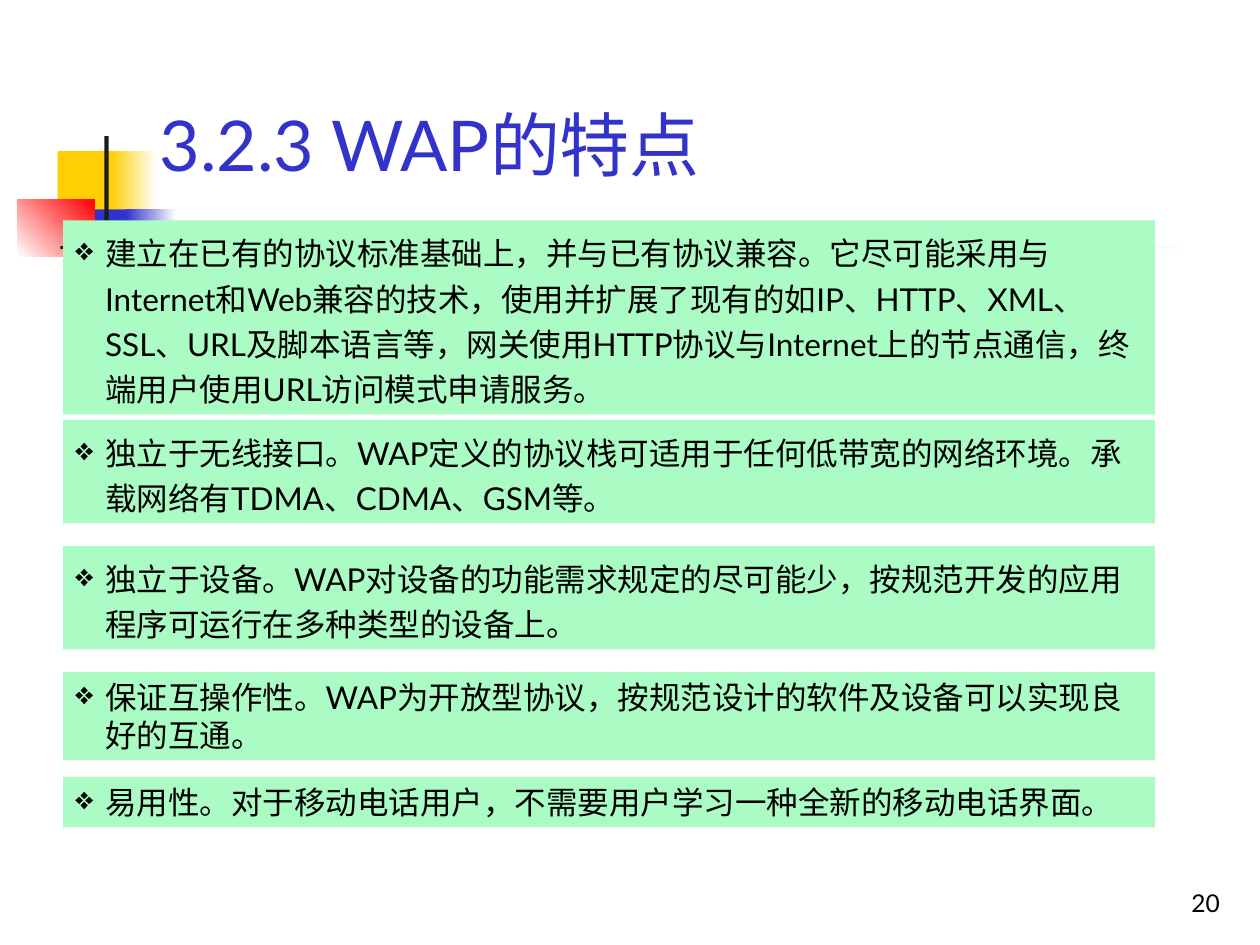
import dataclasses

import lxml.etree
import pptx
import pptx.dml.color
import pptx.enum.shapes
import pptx.enum.text
import pptx.oxml.ns
import pptx.util

Pt = pptx.util.Pt
Color = pptx.dml.color.RGBColor.from_string
Anchor = pptx.enum.text.MSO_ANCHOR
Align = pptx.enum.text.PP_ALIGN


@dataclasses.dataclass(frozen=True)
class Theme:
    font: str = "Lato"
    black: str = "000000"
    white: str = "FFFFFF"
    blue: str = "3333CC"
    yellow: str = "FFCF01"
    red: str = "FF0000"
    charcoal: str = "1C1C1C"
    mint: str = "ABFBC4"
    title_size: float = 40
    body_size: float = 18
    number_size: float = 14
    line_height: float = 21.6
    inset_x: float = 7.2
    inset_y: float = 3.6
    bullet_indent: float = 17


THEME = Theme()

POINTS = [
    (126, 4, 1.2, "建立在已有的协议标准基础上，并与已有协议兼容。它尽可能采用与Internet和Web兼容的技术，"
                  "使用并扩展了现有的如IP、HTTP、XML、SSL、URL及脚本语言等，"
                  "网关使用HTTP协议与Internet上的节点通信，终端用户使用URL访问模式申请服务。"),
    (240, 2, 1.2, "独立于无线接口。WAP定义的协议栈可适用于任何低带宽的网络环境。承载网络有TDMA、CDMA、GSM等。"),
    (312, 2, 1.2, "独立于设备。WAP对设备的功能需求规定的尽可能少，按规范开发的应用程序可运行在多种类型的设备上。"),
    (384, 2, 1.0, "保证互操作性。WAP为开放型协议，按规范设计的软件及设备可以实现良好的互通。"),
    (444, 1, 1.0, "易用性。对于移动电话用户，不需要用户学习一种全新的移动电话界面。"),
]


def add_bullet(paragraph, character, color):
    properties = paragraph._p.get_or_add_pPr()
    properties.set("marL", str(Pt(THEME.bullet_indent)))
    properties.set("indent", str(-Pt(THEME.bullet_indent)))
    qualified = pptx.oxml.ns.qn
    bullet_color = lxml.etree.SubElement(properties, qualified("a:buClr"))
    lxml.etree.SubElement(bullet_color, qualified("a:srgbClr"), val=color)
    lxml.etree.SubElement(properties, qualified("a:buChar"), char=character)


def write_text(shape, text, *, size, color=THEME.black, align=Align.LEFT,
               anchor=Anchor.TOP, spacing=1.0, bullet=None, extra_left=0):
    frame = shape.text_frame
    frame.word_wrap = True
    frame.vertical_anchor = anchor
    frame.margin_left = Pt(THEME.inset_x + extra_left)
    frame.margin_right = Pt(THEME.inset_x)
    frame.margin_top = frame.margin_bottom = Pt(THEME.inset_y)
    paragraph = frame.paragraphs[0]
    if bullet:
        add_bullet(paragraph, bullet, THEME.black)
    paragraph.alignment = align
    paragraph.line_spacing = spacing
    run = paragraph.add_run()
    run.text = text
    run.font.name = THEME.font
    run.font.size = Pt(size)
    run.font.color.rgb = Color(color)


def add_rectangle(slide, box, color, end_color=None, angle=0):
    shape = slide.shapes.add_shape(
        pptx.enum.shapes.MSO_SHAPE.RECTANGLE, *map(Pt, box))
    shape.shadow.inherit = False
    shape.line.fill.background()
    if end_color is None:
        shape.fill.solid()
        shape.fill.fore_color.rgb = Color(color)
    else:
        shape.fill.gradient()
        shape.fill.gradient_angle = angle
        for stop, stop_color in zip(shape.fill.gradient_stops, (color, end_color)):
            stop.color.rgb = Color(stop_color)
    return shape


def add_ornament(slide, box):
    left, top, width, height = box

    def block(x, y, block_width, block_height, *colors, angle=0):
        add_rectangle(slide, (left + x, top + y, block_width, block_height),
                      *colors, angle=angle)

    block(23, 8.6, 34.5, 37.5, THEME.yellow)
    block(53.3, 8.6, 26, 37.5, THEME.yellow, THEME.white)
    block(32.4, 41.8, 33, 37.5, THEME.blue)
    block(62, 41.8, 28.8, 37.5, THEME.blue, THEME.white)
    block(0, 36, 44, 33, THEME.white, THEME.red, angle=45)
    block(49.7, 0, 2.5, height, THEME.charcoal)
    block(24.5, 62.6, width - 24.5, 2.2, THEME.charcoal, THEME.white)


def add_title(slide, box):
    title = slide.shapes.add_textbox(*map(Pt, box))
    write_text(title, "3.2.3 WAP的特点", size=THEME.title_size,
               color=THEME.blue, extra_left=7.7)


def add_points(slide, box):
    left, top, width, _ = box
    first_top = POINTS[0][0]
    for point_top, lines, spacing, text in POINTS:
        height = lines * THEME.line_height * spacing + 2 * THEME.inset_y
        panel = add_rectangle(
            slide, (left, top + point_top - first_top, width, height), THEME.mint)
        write_text(panel, text, size=THEME.body_size, spacing=spacing, bullet="❖")


def add_page_number(slide, box):
    number = slide.shapes.add_textbox(*map(Pt, box))
    write_text(number, "20", size=THEME.number_size,
               align=Align.RIGHT, anchor=Anchor.BOTTOM)


def main():
    presentation = pptx.Presentation()
    presentation.slide_width = Pt(720)
    presentation.slide_height = Pt(540)
    slide = presentation.slides.add_slide(presentation.slide_layouts[6])
    add_ornament(slide, (10, 77.8, 672.5, 82.8))
    add_title(slide, (76.3, 54.7, 545.8, 55.4))
    add_points(slide, (36, 126, 624, 346.8))
    add_page_number(slide, (554.4, 491.8, 149.8, 36))
    presentation.save("out.pptx")


if __name__ == "__main__":
    main()
